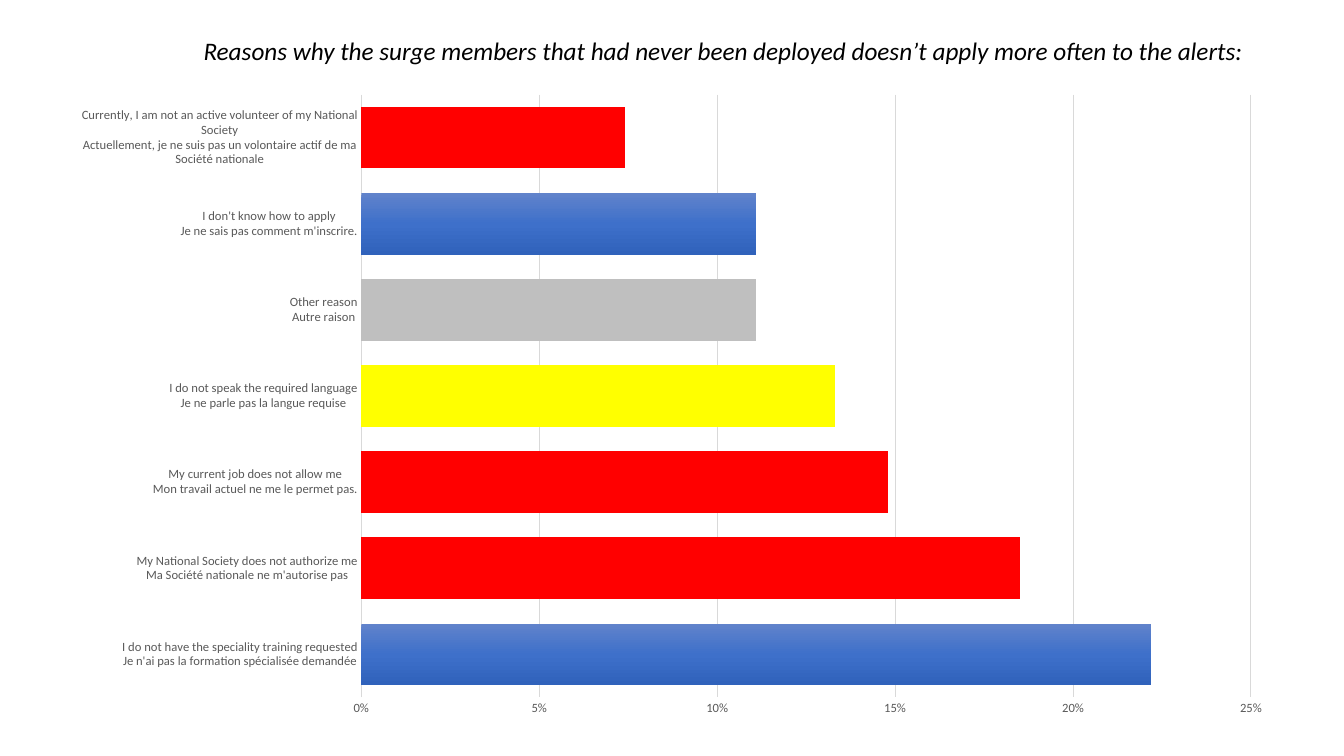
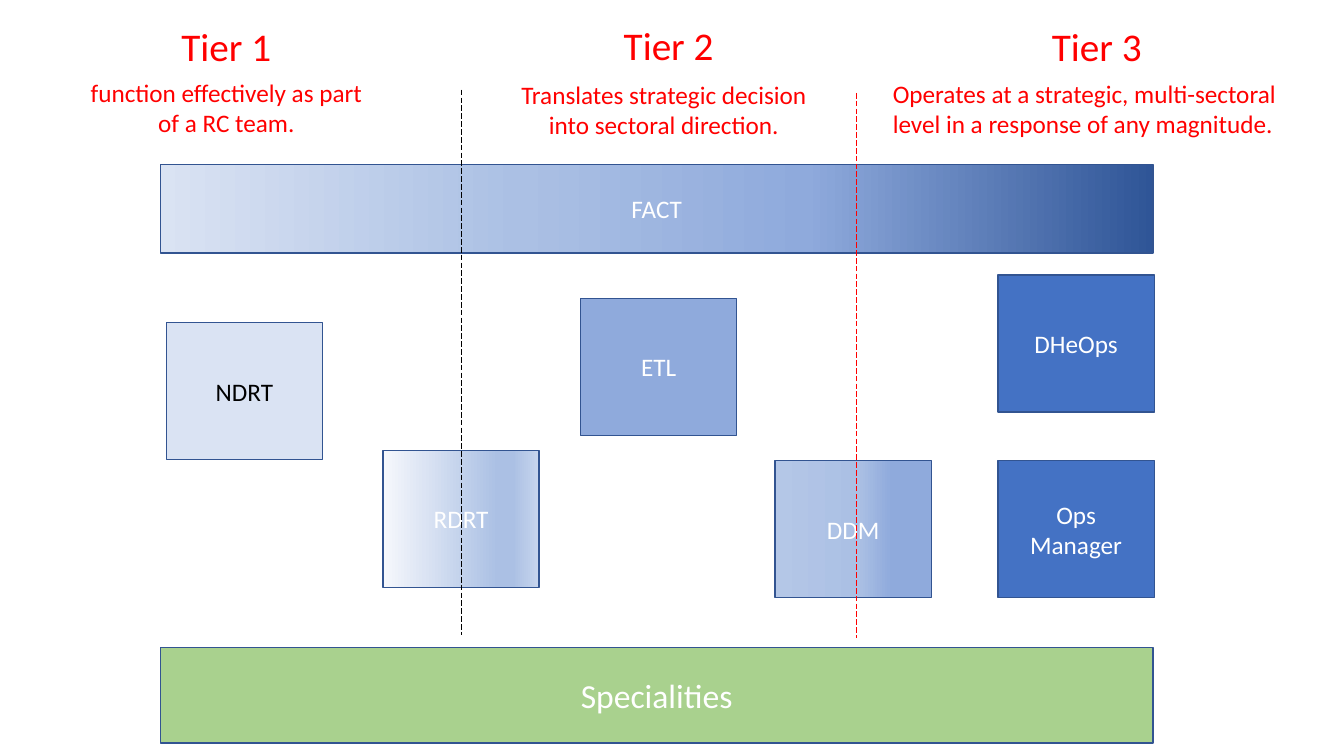
"""Build two slides: a bar chart of reasons and a diagram of three surge tiers."""
from lxml.etree import SubElement
from pptx import Presentation
from pptx.chart.data import CategoryChartData
from pptx.dml.color import RGBColor
from pptx.enum.chart import XL_CHART_TYPE, XL_TICK_MARK
from pptx.enum.dml import MSO_LINE
from pptx.enum.shapes import MSO_CONNECTOR, MSO_SHAPE
from pptx.enum.text import MSO_ANCHOR, MSO_AUTO_SIZE, PP_ALIGN
from pptx.oxml.ns import qn
from pptx.util import Cm, Pt

FONT = "Calibri"
COLORS = {
    "black": "000000", "white": "FFFFFF", "red": "FF0000", "yellow": "FFFF00",
    "silver": "BFBFBF", "grid": "D9D9D9", "label": "595959", "outline": "325491",
    "pale": "DAE3F3", "soft": "8FAADC", "blue": "4472C4", "green": "A9D18E",
}
GRADIENTS = {
    "bar": [(0, "6183CB"), (50, "3E70CA"), (100, "3062BB")],
    "fact": [(0, "DAE3F3"), (36, "ABC0E4"), (65, "8FAADC"), (100, "2F5597")],
    "rdrt": [(0, "F6F8FC"), (74, "ABC0E4"), (83, "ABC0E4"), (100, "C7D5ED")],
    "ddm": [(0, "B4C7E7"), (53, "ABC0E4"), (75, "8FAADC"), (100, "8FAADC")],
}

CHART_TITLE = ("Reasons why the surge members that had never been deployed "
               "doesn’t apply more often to the alerts:")
REASONS = [
    ("I do not have the speciality training requested\n"
     "Je n'ai pas la formation spécialisée demandée", 0.222, None),
    ("My National Society does not authorize me\n"
     "Ma Société nationale ne m'autorise pas", 0.185, "red"),
    ("My current job does not allow me\n"
     "Mon travail actuel ne me le permet pas.", 0.148, "red"),
    ("I do not speak the required language\n"
     "Je ne parle pas la langue requise", 0.133, "yellow"),
    ("Other reason\nAutre raison", 0.111, "silver"),
    ("I don't know how to apply\nJe ne sais pas comment m'inscrire.", 0.111, None),
    ("Currently, I am not an active volunteer of my National Society\n"
     "Actuellement, je ne suis pas un volontaire actif de ma Société nationale",
     0.074, "red"),
]

TIERS = [
    ("Tier 1", 4.32, 0.43, "function effectively as part of a RC team.",
     1.78, 1.83, 7.85, PP_ALIGN.CENTER),
    ("Tier 2", 15.47, 0.41, "Translates strategic decision into sectoral direction.",
     12.73, 1.88, 8, PP_ALIGN.CENTER),
    ("Tier 3", 26.26, 0.43,
     "Operates at a strategic, multi-sectoral level in a response of any magnitude.",
     22.25, 1.85, 10.31, PP_ALIGN.LEFT),
]
BAND_LEFT, BAND_WIDTH = 4.04, 25.02
BANDS = [("FACT", 4.14, 2.24, "fact", 18), ("Specialities", 16.31, 2.41, "green", 24)]
ROLE_WIDTH, ROLE_HEIGHT = 3.94, 3.45
ROLES = [
    ("NDRT", 4.19, 8.13, "pale", "black"),
    ("RDRT", 9.65, 11.35, "rdrt", "white"),
    ("ETL", 14.63, 7.52, "soft", "white"),
    ("DDM", 19.53, 11.61, "ddm", "white"),
    ("DHeOps", 25.15, 6.93, "blue", "white"),
    ("Ops Manager", 25.15, 11.61, "blue", "white"),
]
DIVIDER_LENGTH = 13.74
DIVIDERS = [(11.63, 2.26, "black"), (21.59, 2.34, "red")]


def rgb(name):
    return RGBColor.from_string(COLORS[name])


def paint(fill, element, name, angle=0):
    if name in COLORS:
        fill.solid()
        fill.fore_color.rgb = rgb(name)
        return
    fill.gradient()
    fill.gradient_angle = angle
    stops = next(element.iter(qn("a:gsLst")))
    for stop in list(stops):
        stops.remove(stop)
    for position, color in GRADIENTS[name]:
        stop = SubElement(stops, qn("a:gs"), pos=str(position * 1000))
        SubElement(stop, qn("a:srgbClr"), val=color)


def write(frame, text, size, color, align=PP_ALIGN.LEFT, italic=False):
    para = frame.paragraphs[0]
    para.alignment = align
    span = para.add_run()
    span.text = text
    span.font.name = FONT
    span.font.size = Pt(size)
    span.font.italic = italic
    span.font.color.rgb = rgb(color)


def add_text(page, place, text, size, color, wrap=False, **style):
    frame = page.shapes.add_textbox(*map(Cm, place)).text_frame
    frame.word_wrap = wrap
    frame.auto_size = MSO_AUTO_SIZE.SHAPE_TO_FIT_TEXT
    write(frame, text, size, color, **style)


def add_box(page, place, text, fill, size=18, color="white"):
    box = page.shapes.add_shape(MSO_SHAPE.RECTANGLE, *map(Cm, place))
    box.shadow.inherit = False
    paint(box.fill, box._element, fill)
    box.line.color.rgb = rgb("outline")
    box.line.width = Pt(1)
    box.text_frame.word_wrap = True
    box.text_frame.vertical_anchor = MSO_ANCHOR.MIDDLE
    write(box.text_frame, text, size, color, PP_ALIGN.CENTER)


def add_divider(page, left, top, color):
    line = page.shapes.add_connector(
        MSO_CONNECTOR.STRAIGHT, Cm(left), Cm(top), Cm(left), Cm(top + DIVIDER_LENGTH))
    line.line.color.rgb = rgb(color)
    line.line.width = Pt(0.5)
    line.line.dash_style = MSO_LINE.LONG_DASH
    SubElement(line._element.spPr, qn("a:effectLst"))


def set_font(font, size, color):
    font.name = FONT
    font.size = Pt(size)
    font.color.rgb = rgb(color)


def add_reasons_chart(page):
    data = CategoryChartData(number_format="0%")
    data.categories = [label for label, _, _ in REASONS]
    data.add_series("Series 1", [value for _, value, _ in REASONS])
    chart = page.shapes.add_chart(
        XL_CHART_TYPE.BAR_CLUSTERED, *map(Cm, (1.98, 2.06, 30.43, 16.31)), data).chart
    chart.has_legend = False
    chart.has_title = False
    set_font(chart.font, 10, "black")

    plot = chart.plots[0]
    plot.gap_width = 40
    plot.overlap = -20
    plot.vary_by_categories = False
    series = plot.series[0]
    paint(series.format.fill, series._element, "bar", 270)
    for index, (_, _, color) in enumerate(REASONS):
        if color:
            point = series.points[index]
            paint(point.format.fill, None, color)

    for axis in (chart.category_axis, chart.value_axis):
        axis.major_tick_mark = XL_TICK_MARK.NONE
        axis.minor_tick_mark = XL_TICK_MARK.NONE
        set_font(axis.tick_labels.font, 9, "label")
    reasons, shares = chart.category_axis, chart.value_axis
    reasons.format.line.color.rgb = rgb("grid")
    reasons.format.line.width = Pt(1)
    shares.format.line.fill.background()
    shares.minimum_scale, shares.maximum_scale, shares.major_unit = 0, 0.25, 0.05
    shares.tick_labels.number_format = "0%"
    shares.tick_labels.number_format_is_linked = False
    shares.has_major_gridlines = True
    shares.major_gridlines.format.line.color.rgb = rgb("grid")
    shares.major_gridlines.format.line.width = Pt(0.75)


def build_reasons(page):
    add_reasons_chart(page)
    add_text(page, (4.88, 0.76, 27.03, 1.02), CHART_TITLE, 18, "black", italic=True)


def build_tiers(page):
    for text, top, height, fill, size in BANDS:
        add_box(page, (BAND_LEFT, top, BAND_WIDTH, height), text, fill, size)
    for text, left, top, fill, color in ROLES:
        add_box(page, (left, top, ROLE_WIDTH, ROLE_HEIGHT), text, fill, color=color)
    for divider in DIVIDERS:
        add_divider(page, *divider)
    for name, left, top, duty, duty_left, duty_top, duty_width, align in TIERS:
        add_text(page, (left, top, 2.79, 1.45), name, 28, "red")
        add_text(page, (duty_left, duty_top, duty_width, 1.8), duty, 18, "red",
                 wrap=True, align=align)


def main():
    deck = Presentation()
    deck.slide_width, deck.slide_height = Cm(33.87), Cm(19.05)
    for build in (build_reasons, build_tiers):
        build(deck.slides.add_slide(deck.slide_layouts[6]))
    deck.save("out.pptx")


if __name__ == "__main__":
    main()
